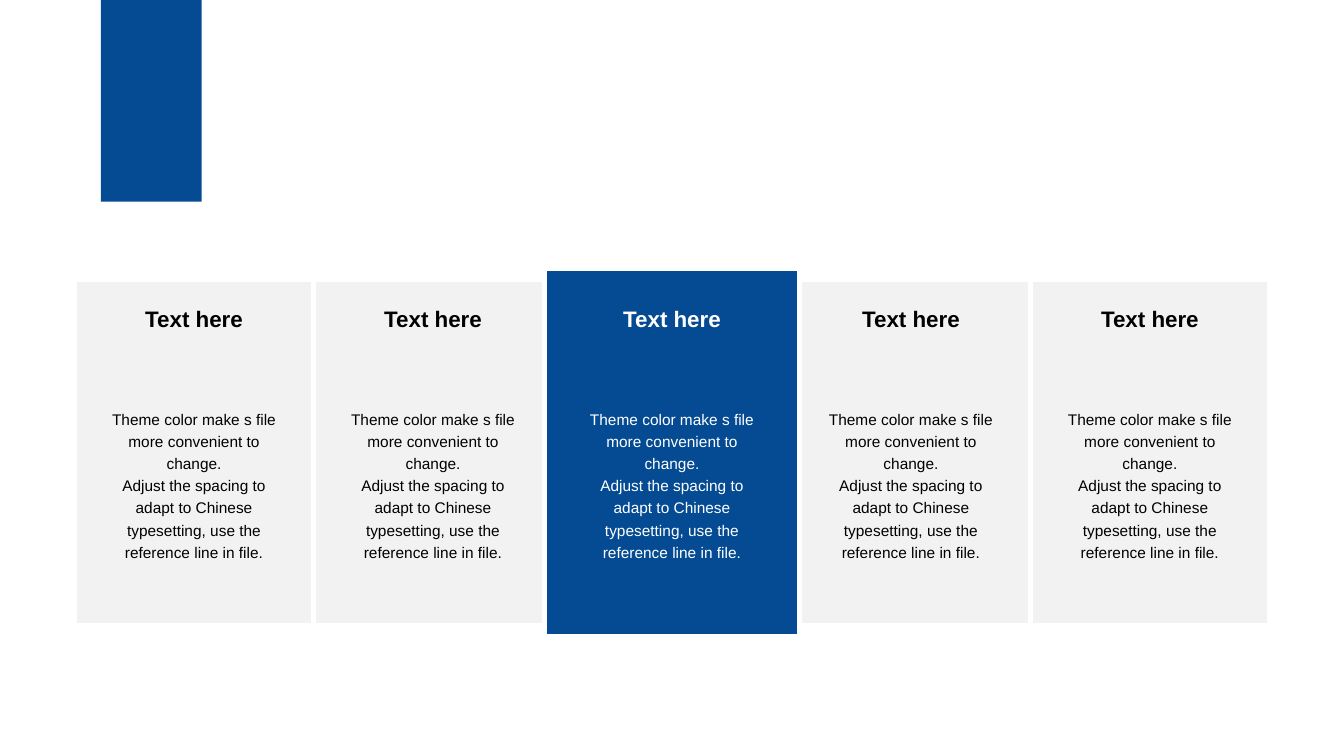
from dataclasses import dataclass

from pptx import Presentation
from pptx.dml.color import RGBColor
from pptx.enum.shapes import MSO_SHAPE
from pptx.enum.text import MSO_ANCHOR, PP_ALIGN
from pptx.util import Inches, Pt


@dataclass(frozen=True)
class Theme:
    font: str = "Arial"
    accent: RGBColor = RGBColor(0x05, 0x4B, 0x93)
    panel: RGBColor = RGBColor(0xF2, 0xF2, 0xF2)
    light: RGBColor = RGBColor(0xFF, 0xFF, 0xFF)
    dark: RGBColor = RGBColor(0x00, 0x00, 0x00)
    heading_size: int = 16
    body_size: int = 11
    gap_width: int = 3


THEME = Theme()

# Grid: five equal columns centred on the slide, with rows measured from the top
SLIDE_WIDTH, SLIDE_HEIGHT = 13.33, 7.5
COLUMN = 2.37
COLUMN_COUNT = 5
FEATURED = COLUMN_COUNT // 2
CARD_MIDDLE, CARD_HEIGHT = 4.49, 3.42
FEATURED_WIDTH, FEATURED_HEIGHT = 2.53, 3.65
HEADING_TOP, HEADING_WIDTH, HEADING_HEIGHT = 2.98, 1.55, 0.37
BODY_TOP, BODY_WIDTH, BODY_HEIGHT = 3.98, 1.95, 2.21

HEADING = ["Text here"]
BODY = [
    "Theme color make s file more convenient to change.",
    "Adjust the spacing to adapt to Chinese typesetting, use the reference line in file.",
]

# Ribbon: straight top corners, then two curves along the wavy lower edge
RIBBON_TOP = [(0.66, 0), (2.03, 0), (2.03, 1.87)]
RIBBON_WAVES = [
    [(2.03, 1.87), (2.03, 1.87), (1.84, 1.78), (1.62, 1.78)],
    [(1.62, 1.78), (1.46, 1.78), (1.14, 1.87), (0.97, 1.87)],
    [(0.97, 1.87), (0.81, 1.87), (0.66, 1.8), (0.66, 1.8)],
]
WAVE_STEPS = 16


def column_centre(column):
    return SLIDE_WIDTH / 2 + (column - FEATURED) * COLUMN


def curve_points(controls):
    """Points along a cubic curve, without its start."""
    for step in range(1, WAVE_STEPS + 1):
        t = step / WAVE_STEPS
        weights = ((1 - t) ** 3, 3 * t * (1 - t) ** 2, 3 * t * t * (1 - t), t ** 3)
        yield tuple(sum(w * point[axis] for w, point in zip(weights, controls))
                    for axis in (0, 1))


def add_ribbon(slide):
    outline = RIBBON_TOP + [point for wave in RIBBON_WAVES for point in curve_points(wave)]
    builder = slide.shapes.build_freeform(*outline[0], scale=Inches(1))
    builder.add_line_segments(outline[1:], close=True)
    ribbon = builder.convert_to_shape()
    ribbon.shadow.inherit = False
    ribbon.fill.solid()
    ribbon.fill.fore_color.rgb = THEME.accent
    ribbon.line.fill.background()


def add_card(slide, column, width, height, color):
    card = slide.shapes.add_shape(
        MSO_SHAPE.RECTANGLE,
        Inches(column_centre(column) - width / 2), Inches(CARD_MIDDLE - height / 2),
        Inches(width), Inches(height))
    card.shadow.inherit = False
    card.fill.solid()
    card.fill.fore_color.rgb = color
    card.line.color.rgb = THEME.light
    card.line.width = Pt(THEME.gap_width)


def add_text(slide, column, top, width, height, lines, size, color,
             bold=False, spacing=1.0, wrap=True):
    box = slide.shapes.add_textbox(
        Inches(column_centre(column) - width / 2), Inches(top), Inches(width), Inches(height))
    frame = box.text_frame
    frame.word_wrap = wrap
    frame.vertical_anchor = MSO_ANCHOR.TOP
    frame.text = "\n".join(lines)
    for paragraph in frame.paragraphs:
        paragraph.alignment = PP_ALIGN.CENTER
        paragraph.line_spacing = spacing
        paragraph.font.name = THEME.font
        paragraph.font.size = Pt(size)
        paragraph.font.bold = bold
        paragraph.font.color.rgb = color


def main():
    deck = Presentation()
    deck.slide_width, deck.slide_height = Inches(SLIDE_WIDTH), Inches(SLIDE_HEIGHT)
    slide = deck.slides.add_slide(deck.slide_layouts[6])

    add_ribbon(slide)

    # Cards, with the featured one in front
    for column in range(COLUMN_COUNT):
        if column != FEATURED:
            add_card(slide, column, COLUMN, CARD_HEIGHT, THEME.panel)
    add_card(slide, FEATURED, FEATURED_WIDTH, FEATURED_HEIGHT, THEME.accent)

    # Heading and body of each card
    for column in range(COLUMN_COUNT):
        color = THEME.light if column == FEATURED else THEME.dark
        add_text(slide, column, HEADING_TOP, HEADING_WIDTH, HEADING_HEIGHT,
                 HEADING, THEME.heading_size, color, bold=True, wrap=False)
        add_text(slide, column, BODY_TOP, BODY_WIDTH, BODY_HEIGHT,
                 BODY, THEME.body_size, color, spacing=1.2)

    deck.save("out.pptx")


if __name__ == "__main__":
    main()
